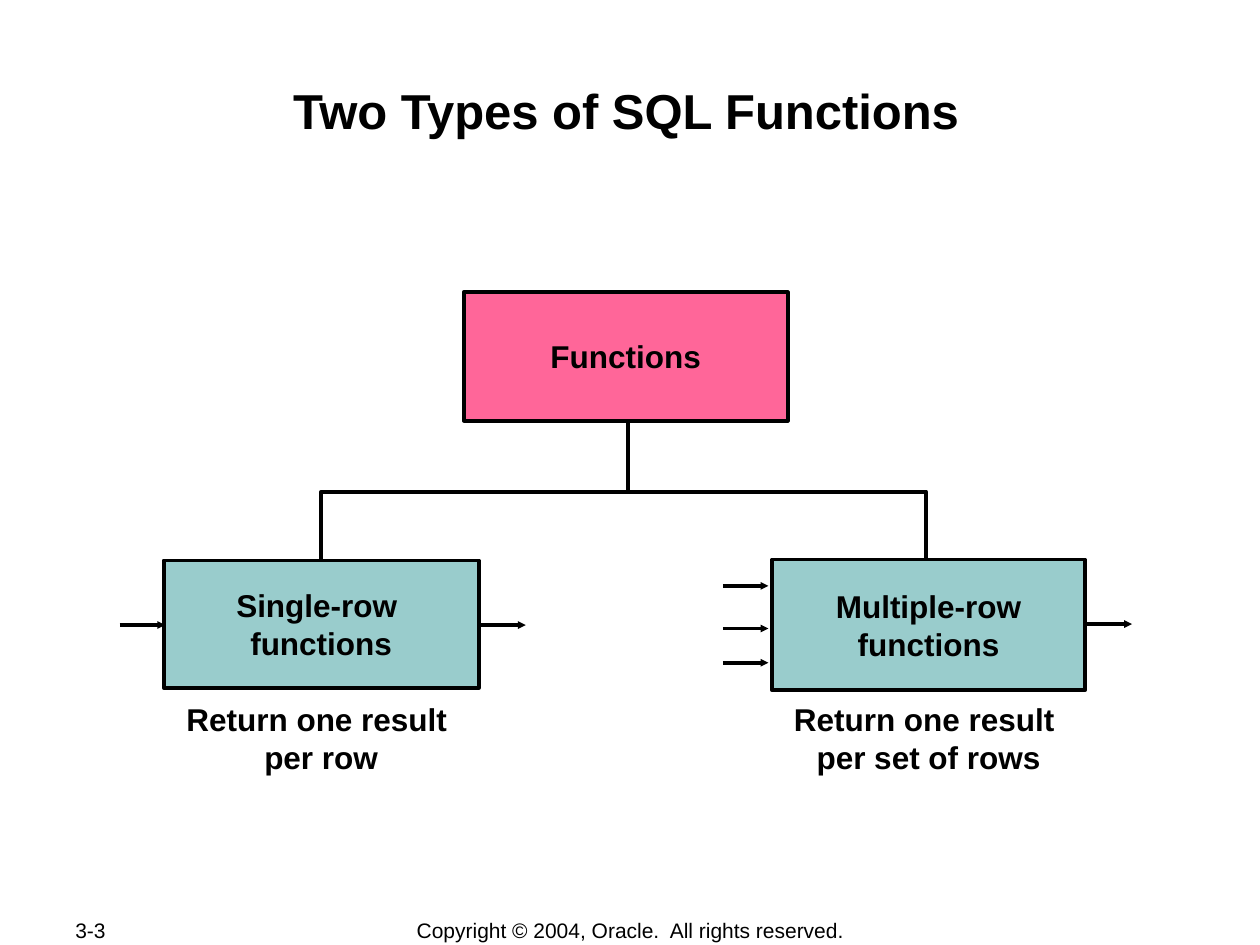
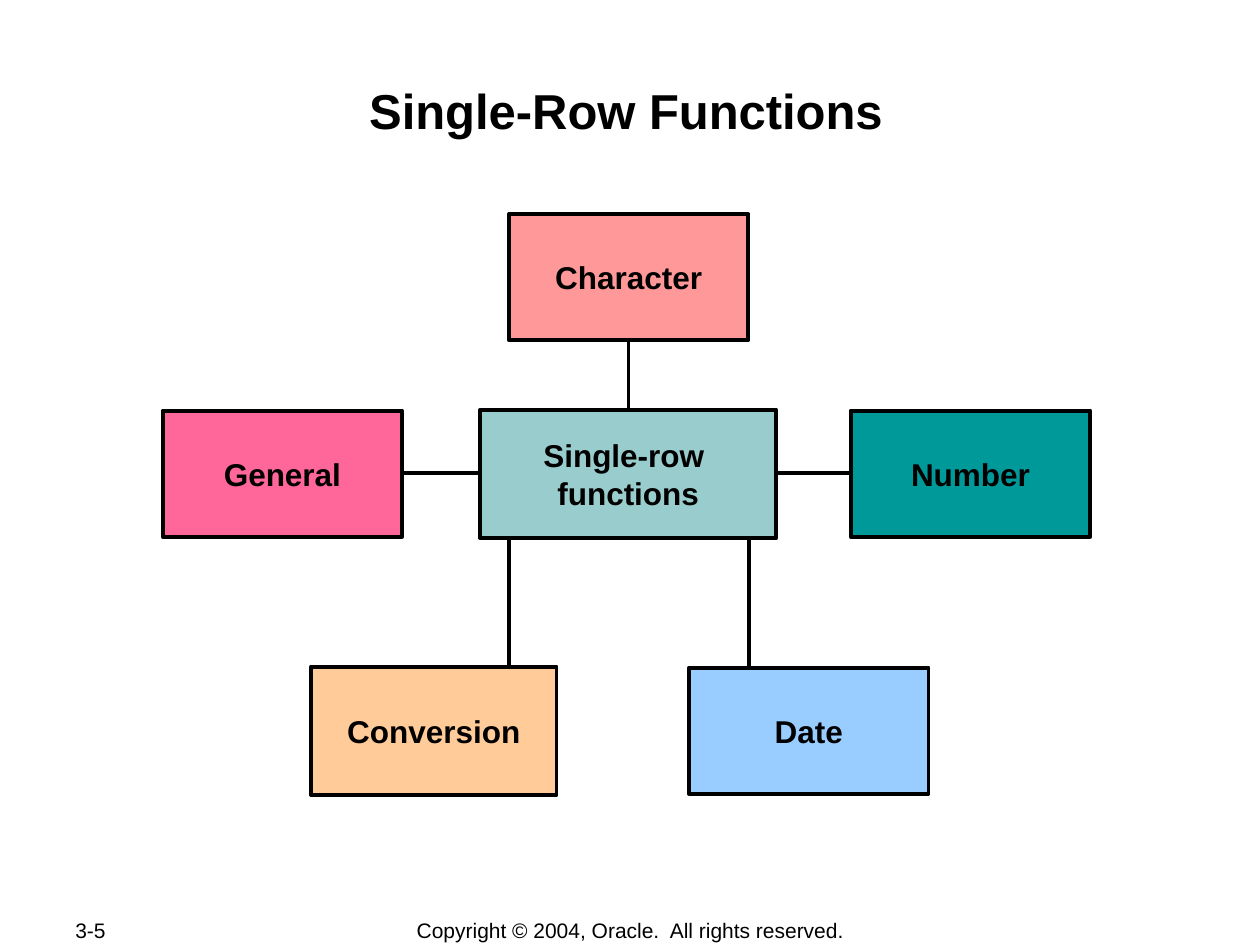
from lxml.etree import SubElement as Sub
from pptx import Presentation
from pptx.dml.color import RGBColor as RGB
from pptx.enum.shapes import MSO_CONNECTOR as Link, MSO_SHAPE as Shape
from pptx.enum.text import MSO_ANCHOR as Anchor, MSO_AUTO_SIZE as Auto, PP_ALIGN as Align
from pptx.oxml.ns import qn
from pptx.util import Cm, Pt

BLACK = RGB(0x00, 0x00, 0x00)
PINK = RGB(0xFF, 0x66, 0x99)
AQUA = RGB(0x99, 0xCC, 0xCC)
ROSE = RGB(0xFF, 0x99, 0x99)
TEAL = RGB(0x00, 0x99, 0x99)
SKY = RGB(0x99, 0xCC, 0xFF)
PEACH = RGB(0xFF, 0xCC, 0x99)

FONT = "Arial"
EDGE = Pt(2.25)
ARROW = 0.92

# Boxes are left, top, width, height in centimetres.
TITLE = (2.46, 1.47, 20.32, 2.44)
PAGE = (1.27, 18.49, 2.69, 0.51)
RIGHTS = (7.01, 18.49, 11.4, 0.53)


def span(box):
    return [Cm(n) for n in box]


def write(frame, lines, size=18, bold=True, align=Align.CENTER):
    """Fill a text frame with one paragraph per line."""
    for i, line in enumerate(lines):
        para = frame.add_paragraph() if i else frame.paragraphs[0]
        para.alignment = align
        para.space_before = Pt(0)
        run = para.add_run()
        run.text = line
        font = run.font
        font.name, font.size, font.bold = FONT, Pt(size), bold
        font.color.rgb = BLACK


def label(slide, box, lines, **style):
    frame = slide.shapes.add_textbox(*span(box)).text_frame
    frame.word_wrap = True
    frame.vertical_anchor = Anchor.MIDDLE
    write(frame, lines, **style)


def block(slide, box, lines, fill):
    rect = slide.shapes.add_shape(Shape.RECTANGLE, *span(box))
    rect.shadow.inherit = False
    rect.fill.solid()
    rect.fill.fore_color.rgb = fill
    rect.line.color.rgb = BLACK
    rect.line.width = EDGE
    frame = rect.text_frame
    frame.word_wrap = False
    frame.vertical_anchor = Anchor.MIDDLE
    write(frame, lines)


def rule(slide, x1, y1, x2, y2, head=False):
    """Draw a straight line, with an arrowhead at its end if head is set."""
    line = slide.shapes.add_connector(Link.STRAIGHT, *span((x1, y1, x2, y2)))
    line.line.color.rgb = BLACK
    line.line.width = EDGE
    if head:
        Sub(line.line._get_or_add_ln(), qn("a:tailEnd"), type="triangle", w="sm", len="sm")
    Sub(line._element.spPr, qn("a:effectLst"))


def page(deck, title, number):
    """Add a slide with the shared title and footer."""
    slide = deck.slides.add_slide(deck.slide_layouts[5])
    head = slide.shapes.title
    head.left, head.top, head.width, head.height = span(TITLE)
    frame = head.text_frame
    frame.auto_size = Auto.NONE
    frame.vertical_anchor = Anchor.TOP
    frame.margin_left = frame.margin_right = frame.margin_bottom = Cm(0.03)
    frame.margin_top = Cm(0.15)
    write(frame, [title], size=28)
    label(slide, PAGE, [number], size=12, bold=False, align=Align.LEFT)
    label(slide, RIGHTS, ["Copyright © 2004, Oracle.  All rights reserved."],
          size=12, bold=False)
    return slide


def fork(slide, box):
    """Draw the bracket that joins the root to both kinds."""
    x, y, wide, high = box
    mid = x + wide / 2 + 0.08
    rule(slide, mid, y, mid, y - 2.2)
    start, *ends = [(Cm(a), Cm(b)) for a, b in
                    ((x, y + high), (x, y), (x + wide, y), (x + wide, y + high))]
    maker = slide.shapes.build_freeform(*start)
    maker.add_line_segments(ends, close=False)
    path = maker.convert_to_shape()
    path.shadow.inherit = False
    path.fill.background()
    path.line.color.rgb = BLACK
    path.line.width = EDGE


def kind(slide, box, name, note, wide, feeds, gap):
    """Place a kind of function, its arrows in and out, and its note."""
    x, y, w, h = box
    block(slide, box, name, AQUA)
    for feed in feeds:
        rule(slide, x - gap - ARROW, y + feed, x - gap, y + feed, head=True)
    out = x + w + 0.03
    rule(slide, out, y + 1.3, out + ARROW, y + 1.3, head=True)
    label(slide, (x + (w - wide) / 2, 14.2, wide, 1.35), note)


def hub(slide, box, name, spokes):
    """Place a central block and the blocks linked to it."""
    x, y, _, _ = box
    for *_, (x1, y1, x2, y2) in spokes:
        rule(slide, x + x1, y + y1, x + x2, y + y2)
    for text, fill, (dx, dy), (w, h), _ in spokes:
        block(slide, (x + dx, y + dy, w, h), [text], fill)
    block(slide, box, name, AQUA)


def types(deck):
    slide = page(deck, "Two Types of SQL Functions", "3-3")
    fork(slide, (6.48, 9.91, 12.19, 1.45))
    block(slide, (9.35, 5.89, 6.53, 2.59), ["Functions"], PINK)
    kind(slide, (3.3, 11.3, 6.35, 2.57), ["Single-row ", "functions"],
         ["Return one result ", "per row"], 8.6, [1.3], -0.03)
    kind(slide, (15.57, 11.28, 6.3, 2.64), ["Multiple-row", "functions"],
         ["Return one result ", "per set of rows"], 9.8, [0.53, 1.39, 2.08], 0.08)


def single(deck):
    slide = page(deck, "Single-Row Functions", "3-5")
    size = (4.83, 2.54)
    mid, row = 2.99, 1.27
    hub(slide, (9.68, 8.26, 5.97, 2.59), ["Single-row ", "functions"], [
        ("Conversion", PEACH, (-3.41, 5.18), (4.95, 2.59), (0.58, 2.31, 0.58, 5.23)),
        ("Character", ROSE, (0.58, -3.94), size, (mid, 1.95, mid, -1.99)),
        ("Number", TEAL, (7.47, 0.02), size, (mid, row, 8.96, row)),
        ("Date", SKY, (4.21, 5.2), size, (5.41, 2.33, 5.41, 5.25)),
        ("General", PINK, (-6.4, 0.02), size, (mid, row, -2.67, row)),
    ])


def main():
    deck = Presentation()
    deck.slide_width, deck.slide_height = Cm(25.4), Cm(19.05)
    types(deck)
    single(deck)
    deck.save("out.pptx")


if __name__ == "__main__":
    main()
